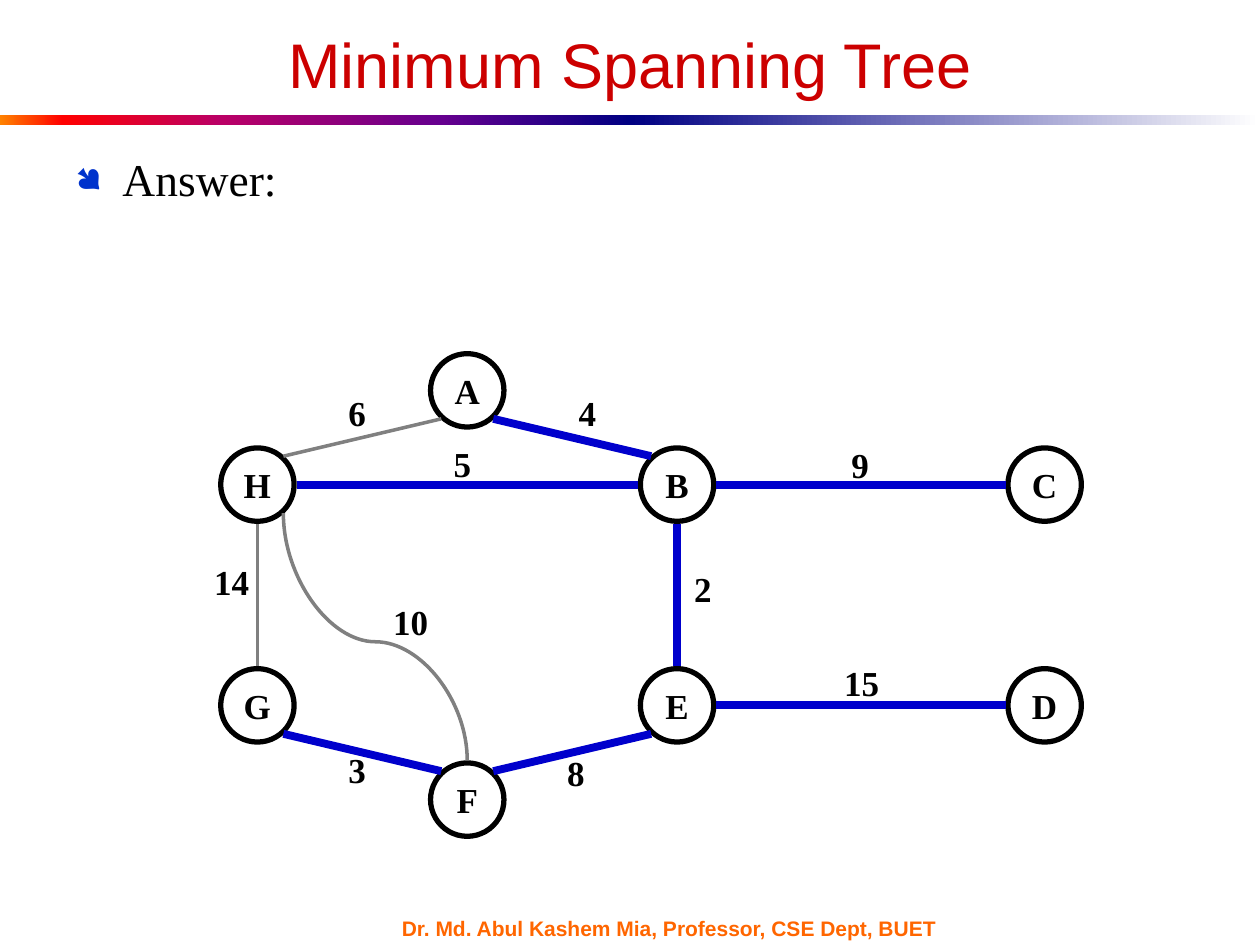
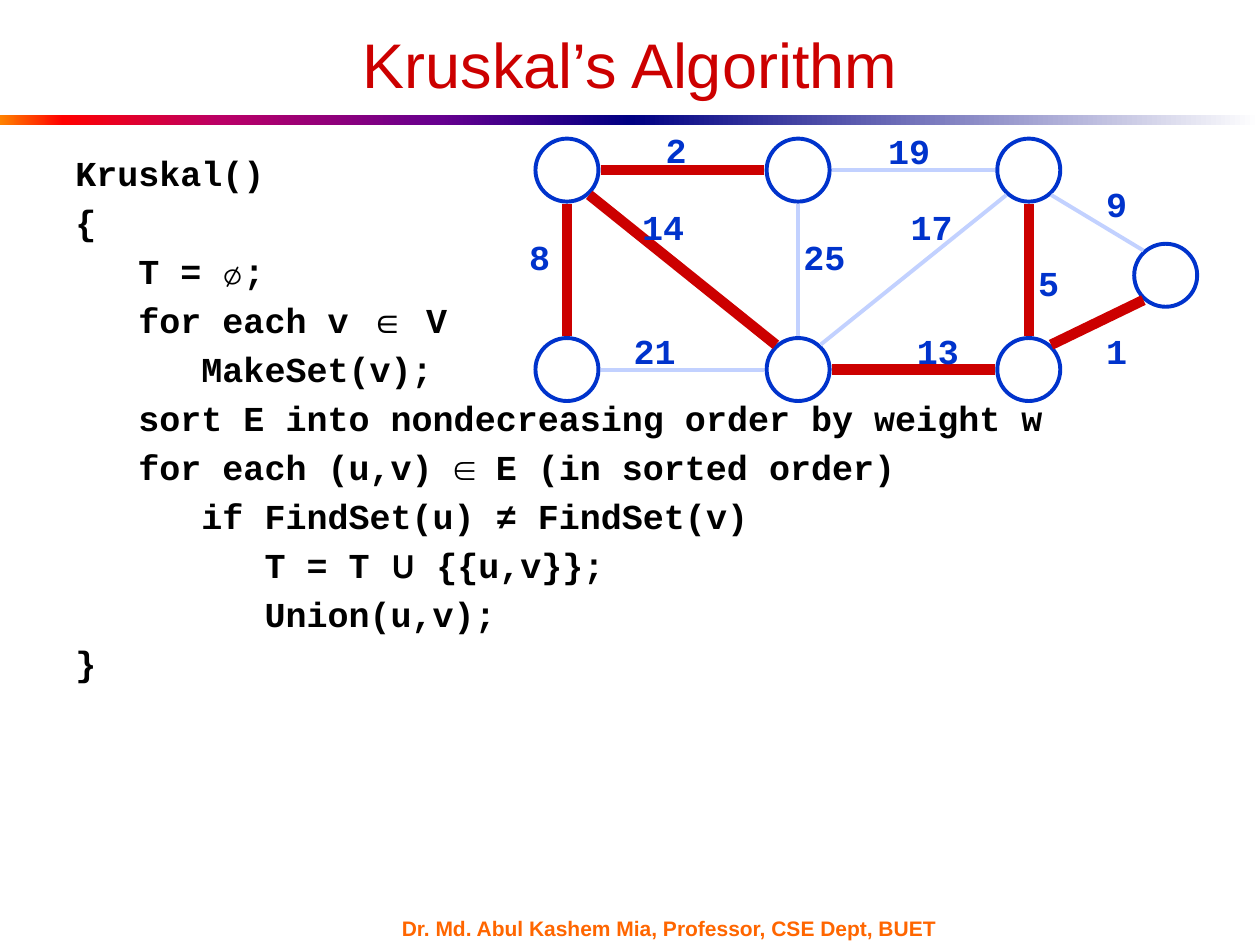
import math

from lxml import etree
from pptx import Presentation
from pptx import util as u
from pptx.dml.color import RGBColor
from pptx.enum import shapes, text
from pptx.oxml.ns import qn

SANS, SERIF, MONO = "Arial", "Times New Roman", "Courier New"
BLACK, WHITE, RED, BLUE, NAVY = "000000", "FFFFFF", "CC0000", "0033CC", "0000CC"
GRAY, PALE, ORANGE = "808080", "C2D1FF", "FF6600"
BANDS = [
    [(0, "FF8200"), (10, "FF0000"), (35, "BA0066"), (70, "66008F"), (100, "000082")],
    [(0, "000082"), (100, WHITE)],
]
SITE_GAP = 0.05
BODY_TOP = 2.92

TREE_NODES = {
    "A": (9.42, 7.87), "B": (13.65, 9.77), "C": (21.06, 9.77), "D": (21.06, 14.22),
    "E": (13.65, 14.22), "F": (9.42, 16.12), "G": (5.19, 14.22), "H": (5.19, 9.77),
}
TREE_EDGES = ["AB", "HB", "GF", "FE", "EB", "BC", "ED"]
OTHER_EDGES = ["AH", "GH"]
TREE_WEIGHTS = [
    ("14", 4.67, 11.73), ("10", 8.28, 12.54), ("3", 7.2, 15.51), ("6", 7.2, 8.32),
    ("4", 11.84, 8.32), ("5", 9.32, 9.34), ("2", 14.17, 11.86), ("9", 17.34, 9.36),
    ("15", 17.37, 13.76), ("8", 11.61, 15.58),
]

KRUSKAL_NODES = {
    "a": (11.43, 3.43), "b": (16.09, 3.43), "c": (20.74, 3.43), "d": (23.5, 5.55),
    "e": (20.74, 7.45), "f": (16.09, 7.45), "g": (11.43, 7.45),
}
CHOSEN_EDGES = ["ab", "ag", "af", "fe", "ec", "ed"]
REJECTED_EDGES = ["bc", "cf", "fg", "fb", "cd"]
KRUSKAL_WEIGHTS = [
    ("2", 13.63, 3.01), ("19", 18.33, 3.03), ("9", 22.51, 4.1), ("1", 22.51, 7.07),
    ("5", 21.14, 5.7), ("13", 18.91, 7.07), ("17", 18.78, 4.56), ("25", 16.62, 5.17),
    ("14", 13.37, 4.56), ("8", 10.88, 5.17), ("21", 13.2, 7.07),
]
CODE = [
    [("Kruskal()", MONO)],
    [("{", MONO)],
    [("   T = ∅;", MONO)],
    [("   for each v ", MONO), ("∈", SERIF), (" V", MONO)],
    [("      MakeSet(v);", MONO)],
    [("   sort E into nondecreasing order by weight w", MONO)],
    [("   for each (u,v) ∈ E (in sorted order)", MONO)],
    [("      if FindSet(u) ≠ FindSet(v)", MONO)],
    [("         T = T ", MONO), ("U", "Karla"), (" {{u,v}};", MONO)],
    [("         Union(u,v);", MONO)],
    [("}", MONO)],
]


def rgb(color):
    return RGBColor.from_string(color)


def add_run(p, words, font, size, color, bold=False):
    r = p.add_run()
    r.text = words
    r.font.name, r.font.size, r.font.bold = font, u.Pt(size), bold
    r.font.color.rgb = rgb(color)


def add_box(s, x, y, w, h, anchor=text.MSO_ANCHOR.TOP, wrap=True):
    tf = s.shapes.add_textbox(u.Cm(x), u.Cm(y), u.Cm(w), u.Cm(h)).text_frame
    tf.word_wrap = wrap
    tf.vertical_anchor = anchor
    return tf


def add_band(s, x, stops):
    sp = s.shapes.add_shape(shapes.MSO_SHAPE.RECTANGLE, u.Cm(x), u.Cm(2.31), u.Cm(12.7), u.Cm(0.22))
    sp.shadow.inherit = False
    sp.line.fill.background()
    sp.fill.gradient()
    sp.fill.gradient_angle = 0
    stop_list = sp._element.spPr.find(".//" + qn("a:gsLst"))
    for old in list(stop_list):
        stop_list.remove(old)
    for pos, color in stops:
        gs = etree.SubElement(stop_list, qn("a:gs"), pos=str(pos * 1000))
        etree.SubElement(gs, qn("a:srgbClr"), val=color)


def add_slide(prs, title):
    s = prs.slides.add_slide(prs.slide_layouts[6])
    for i, stops in enumerate(BANDS):
        add_band(s, i * 12.7, stops)
    footer = add_box(s, 7.85, 18.49, 11.86, 0.46, text.MSO_ANCHOR.MIDDLE)
    add_run(footer.paragraphs[0], "Dr. Md. Abul Kashem Mia, Professor, CSE Dept, BUET", SANS, 12, ORANGE, True)
    p = add_box(s, 1.27, 0.62, 22.86, 1.3, text.MSO_ANCHOR.MIDDLE).paragraphs[0]
    p.alignment = text.PP_ALIGN.CENTER
    add_run(p, title, SANS, 36, RED)
    return s


def add_bullet(s, words):
    p = add_box(s, 1.27, BODY_TOP, 22.86, 12.07).paragraphs[0]
    pPr = p._p.get_or_add_pPr()
    pPr.set("marL", str(u.Cm(0.95)))
    pPr.set("indent", str(-u.Cm(0.95)))
    color = etree.SubElement(pPr, qn("a:buClr"))
    etree.SubElement(color, qn("a:srgbClr"), val=BLUE)
    etree.SubElement(pPr, qn("a:buSzPct"), val="75000")
    etree.SubElement(pPr, qn("a:buFont"), typeface="Wingdings")
    etree.SubElement(pPr, qn("a:buChar"), char="●")
    add_run(p, words, SERIF, 26, BLACK)


def add_code(s, lines):
    tf = add_box(s, 1.27, BODY_TOP, 22.86, 12.07)
    for i, line in enumerate(lines):
        p = tf.paragraphs[0] if i == 0 else tf.add_paragraph()
        if i:
            p.space_before = u.Pt(4)
        for words, font in line:
            add_run(p, words, font, 20, BLACK, font != SERIF)


def add_node(s, center, size, line, width, fill=None, name=""):
    x, y = center
    sp = s.shapes.add_shape(shapes.MSO_SHAPE.OVAL, u.Cm(x - size / 2), u.Cm(y - size / 2), u.Cm(size), u.Cm(size))
    sp.shadow.inherit = False
    if fill:
        sp.fill.solid()
        sp.fill.fore_color.rgb = rgb(fill)
    else:
        sp.fill.background()
    sp.line.color.rgb = rgb(line)
    sp.line.width = u.Pt(width)
    if name:
        tf = sp.text_frame
        tf.word_wrap = False
        p = tf.paragraphs[0]
        p.alignment = text.PP_ALIGN.CENTER
        add_run(p, name, SERIF, 20, BLACK, True)


def add_line(s, kind, start, end, color, width):
    c = s.shapes.add_connector(kind, *(u.Cm(v) for v in (*start, *end)))
    c.line.color.rgb = rgb(color)
    c.line.width = u.Pt(width)
    etree.SubElement(c._element.spPr, qn("a:effectLst"))
    return c


def edge_site(node, other, radius):
    dx, dy = (0 if abs(b - a) < 0.01 else math.copysign(1, b - a) for a, b in zip(node, other))
    reach = radius * math.sqrt(0.5) if dx and dy else radius + SITE_GAP
    rise = reach + SITE_GAP if dx and dy else reach
    return node[0] + dx * reach, node[1] + dy * rise


def add_edges(s, nodes, edges, size, color, width):
    for a, b in edges:
        start = edge_site(nodes[a], nodes[b], size / 2)
        end = edge_site(nodes[b], nodes[a], size / 2)
        add_line(s, shapes.MSO_CONNECTOR.STRAIGHT, start, end, color, width)


def add_curved_edge(s, start, end, bend, color, width):
    cx, cy = (start[0] + end[0]) / 2, (start[1] + end[1]) / 2
    half_w, half_h = (start[1] - end[1]) / 2, (start[0] - end[0]) / 2
    c = add_line(s, shapes.MSO_CONNECTOR.CURVE, (cx + half_w, cy - half_h), (cx - half_w, cy + half_h), color, width)
    c._element.spPr.find(qn("a:xfrm")).set("rot", str(90 * 60000))
    geom = c._element.spPr.find(qn("a:prstGeom"))
    guides = geom.find(qn("a:avLst"))
    if guides is None:
        guides = etree.SubElement(geom, qn("a:avLst"))
    etree.SubElement(guides, qn("a:gd"), name="adj1", fmla=f"val {round(bend * 100000)}")


def add_weights(s, weights, font, color):
    for weight, x, y in weights:
        w = 0.55 + 0.45 * len(weight)
        p = add_box(s, x - w / 2, y - 0.55, w, 1.1, wrap=False).paragraphs[0]
        p.alignment = text.PP_ALIGN.CENTER
        add_run(p, weight, font, 20, color, True)


def build_spanning_tree(prs):
    s = add_slide(prs, "Minimum Spanning Tree")
    add_bullet(s, "Answer:")
    size = 1.48
    for name, center in TREE_NODES.items():
        add_node(s, center, size, BLACK, 3, name=name)
    add_edges(s, TREE_NODES, OTHER_EDGES, size, GRAY, 2)
    add_edges(s, TREE_NODES, TREE_EDGES, size, NAVY, 4.5)
    f, h = TREE_NODES["F"], TREE_NODES["H"]
    f_top = (f[0], f[1] - size / 2 - SITE_GAP)
    add_curved_edge(s, f_top, edge_site(h, f, size / 2), 0.48, GRAY, 2)
    add_weights(s, TREE_WEIGHTS, SERIF, BLACK)


def build_kruskal(prs):
    s = add_slide(prs, "Kruskal’s Algorithm")
    size = 1.27
    for center in KRUSKAL_NODES.values():
        add_node(s, center, size, BLUE, 2.25, fill=WHITE)
    add_edges(s, KRUSKAL_NODES, REJECTED_EDGES, size, PALE, 2.25)
    add_edges(s, KRUSKAL_NODES, CHOSEN_EDGES, size, RED, 6)
    add_weights(s, KRUSKAL_WEIGHTS, MONO, BLUE)
    add_code(s, CODE)


def main():
    prs = Presentation()
    prs.slide_width, prs.slide_height = u.Cm(25.4), u.Cm(19.05)
    build_spanning_tree(prs)
    build_kruskal(prs)
    prs.save("out.pptx")


if __name__ == "__main__":
    main()
